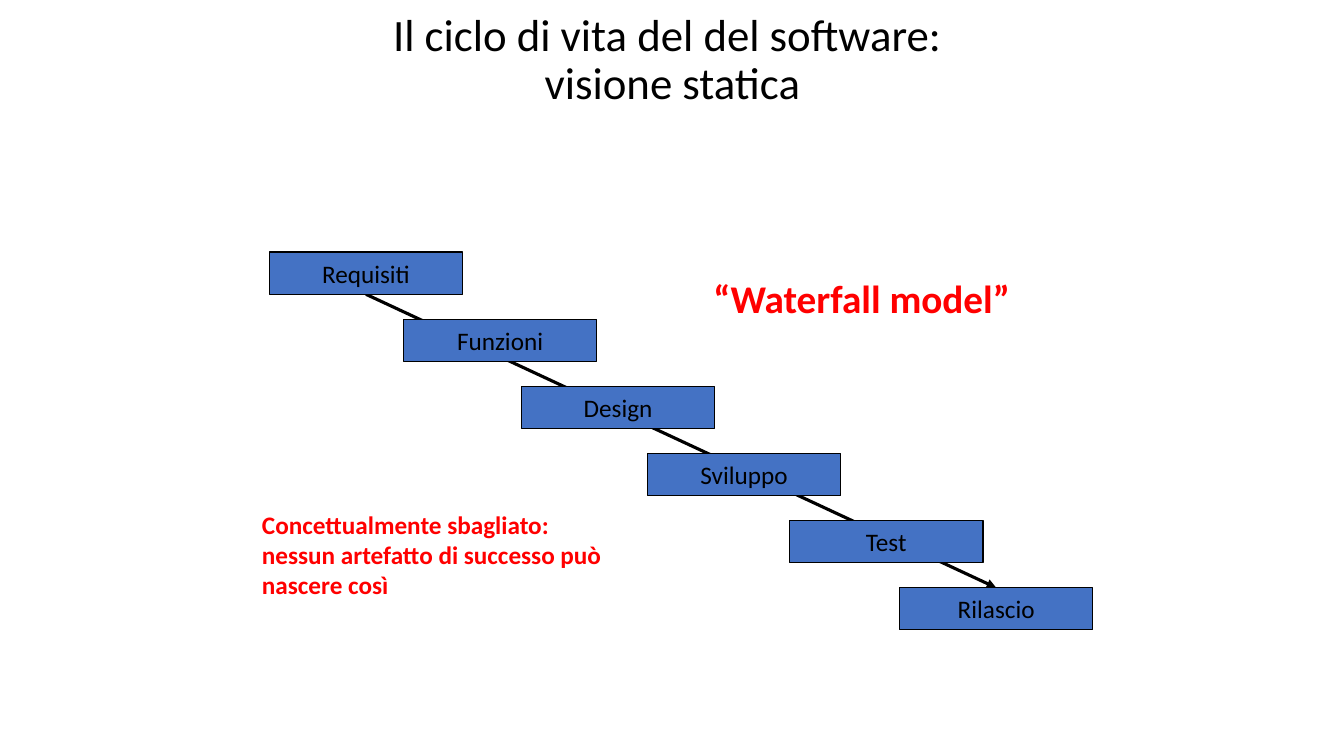
from lxml import etree
from pptx import Presentation
from pptx.dml.color import RGBColor
from pptx.enum.shapes import MSO_CONNECTOR, MSO_SHAPE
from pptx.enum.text import MSO_ANCHOR, MSO_AUTO_SIZE, PP_ALIGN
from pptx.oxml.ns import qn
from pptx.util import Inches, Pt

BLACK = RGBColor(0x00, 0x00, 0x00)
RED = RGBColor(0xFF, 0x00, 0x00)
BLUE = RGBColor(0x44, 0x72, 0xC4)

TITLE = "Il ciclo di vita del del software: \vvisione statica"
PHASES = [("Requisiti", 2.67), ("Funzioni", 4), ("Design", 5.17),
          ("Sviluppo", 6.42), ("Test", 7.83), ("Rilascio", 8.92)]
FIRST_TOP, LAST_TOP = 2.5, 5.83
PHASE_WIDTH, PHASE_HEIGHT = 1.92, 0.42
BOTTOM, TOP = 2, 0


def write(frame, text, size, color=BLACK, bold=False, align=PP_ALIGN.CENTER, **frame_format):
    for name, value in frame_format.items():
        setattr(frame, name, value)
    frame.text = text
    para = frame.paragraphs[0]
    para.alignment = align
    para.font.color.rgb = color
    for name, value in {"name": "Calibri", "size": Pt(size), "bold": bold}.items():
        setattr(para.font, name, value)
    return para


def add_title(page):
    title = page.shapes.title
    place = {"left": 2.17, "top": -0.02, "width": 9, "height": 1.25}
    for name, value in place.items():
        setattr(title, name, Inches(value))
    para = write(title.text_frame, TITLE, 32, vertical_anchor=MSO_ANCHOR.MIDDLE,
                 auto_size=MSO_AUTO_SIZE.NONE)
    para.line_spacing = 0.9


def add_remark(page, text, left, top, width, height, size, align):
    box = page.shapes.add_textbox(*map(Inches, (left, top, width, height)))
    write(box.text_frame, text, size, RED, True, align,
          word_wrap=True, auto_size=MSO_AUTO_SIZE.SHAPE_TO_FIT_TEXT)


def add_phase(page, text, left, top):
    box = page.shapes.add_shape(
        MSO_SHAPE.RECTANGLE, *map(Inches, (left, top, PHASE_WIDTH, PHASE_HEIGHT)))
    box.shadow.inherit = False
    box.fill.solid()
    box.fill.fore_color.rgb = BLUE
    box.line.color.rgb = BLACK
    box.line.width = Pt(0.75)
    write(box.text_frame, text, 18, vertical_anchor=MSO_ANCHOR.MIDDLE, word_wrap=False)
    return box


def add_flow_arrow(page):
    arrow = page.shapes.add_connector(
        MSO_CONNECTOR.STRAIGHT, *map(Inches, (3.67, 2.92, 9.83, 5.83)))
    arrow.line.color.rgb = BLACK
    arrow.line.width = Pt(2.25)
    etree.SubElement(arrow.line._get_or_add_ln(), qn("a:tailEnd"), type="triangle")
    etree.SubElement(arrow._element.spPr, qn("a:effectLst"))
    return arrow


def add_waterfall(page):
    """Draw the arrow first, so that it runs behind the phases."""
    arrow = add_flow_arrow(page)
    step = (LAST_TOP - FIRST_TOP) / (len(PHASES) - 1)
    boxes = [add_phase(page, text, left, FIRST_TOP + i * step)
             for i, (text, left) in enumerate(PHASES)]
    arrow.begin_connect(boxes[0], BOTTOM)
    arrow.end_connect(boxes[-1], TOP)


def main():
    deck = Presentation()
    deck.slide_width, deck.slide_height = Inches(13.33), Inches(7.5)
    page = deck.slides.add_slide(deck.slide_layouts[5])
    add_title(page)
    add_remark(page, "Concettualmente sbagliato: nessun artefatto di successo può nascere così",
               2.5, 5, 3.75, 1.01, 18, PP_ALIGN.LEFT)
    add_waterfall(page)
    add_remark(page, "“Waterfall model”", 6.67, 2.67, 3.75, 0.57, 28, PP_ALIGN.CENTER)
    deck.save("out.pptx")


if __name__ == "__main__":
    main()
